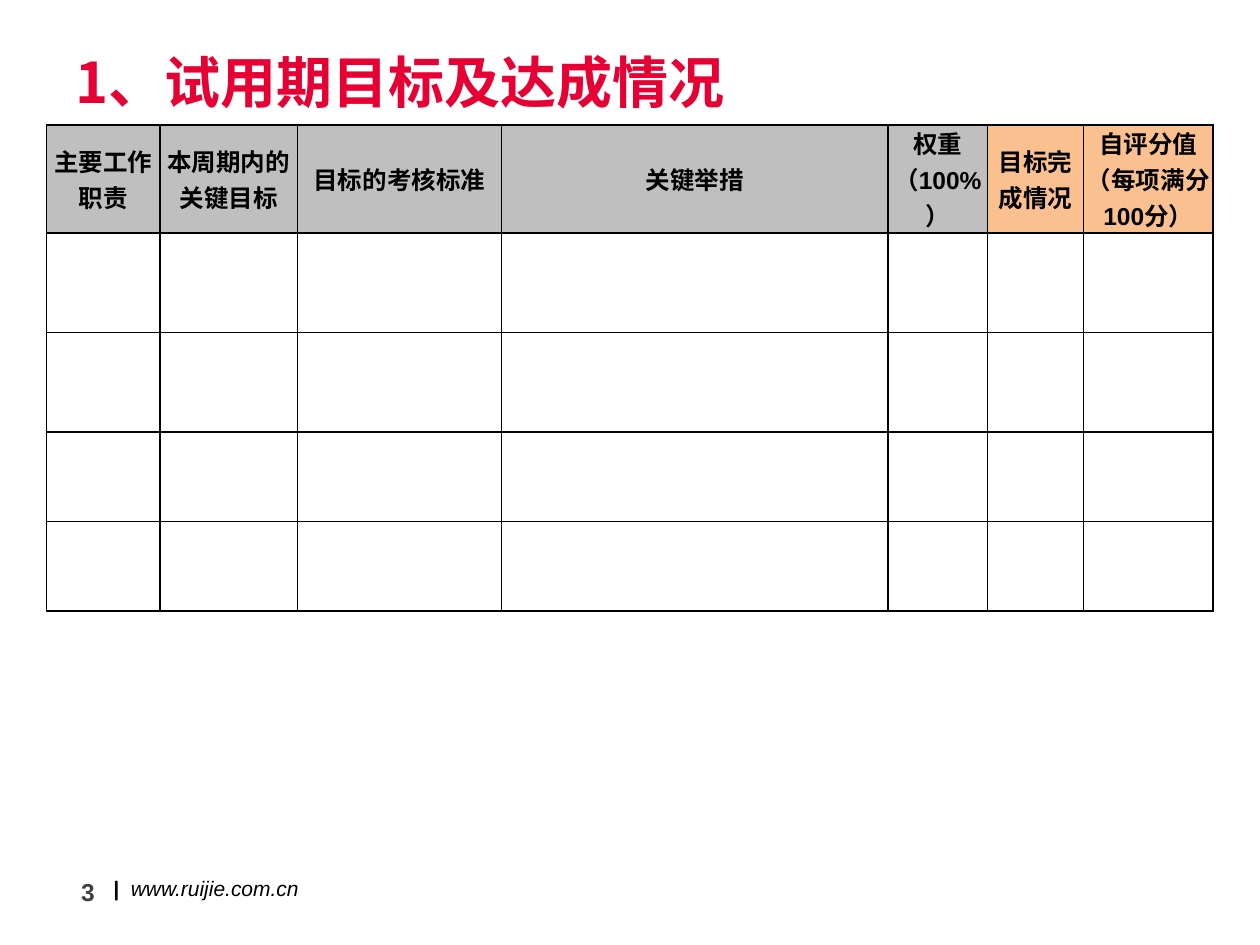
from lxml.etree import SubElement
from pptx import Presentation
from pptx.dml.color import RGBColor
from pptx.enum.text import MSO_ANCHOR, MSO_AUTO_SIZE, PP_ALIGN
from pptx.oxml.ns import qn
from pptx.util import Inches, Pt

WIDTH, HEIGHT = 10, 7.5
LATIN, CHINESE = "Arial", "Noto Sans CJK SC"
GREY, ORANGE, WHITE, BLACK = "BFBFBF", "FAC090", "FFFFFF", "000000"
COLUMN_WIDTHS = [0.9, 1.09, 1.62, 3.07, 0.79, 0.76, 1.03]
ROW_HEIGHTS = [0.86, 0.79, 0.79, 0.71, 0.71]
HEADERS = [
    ("主要工作职责", GREY),
    ("本周期内的关键目标", GREY),
    ("目标的考核标准", GREY),
    ("关键举措", GREY),
    ("权重（100%）", GREY),
    ("目标完成情况", ORANGE),
    ("自评分值\n（每项满分100分）", ORANGE),
]
HEADER_FORMAT = {"size": Pt(14), "bold": True, "name": LATIN}
TITLE_FORMAT = {"size": Pt(32), "bold": True, "name": CHINESE}
FOOTER_FORMAT = {"size": Pt(12), "italic": True, "name": LATIN}


def color(value):
    """Turn a hex string into a colour."""
    return RGBColor.from_string(value)


def set_attributes(target, values):
    """Set every attribute listed in a dict."""
    for name, value in values.items():
        setattr(target, name, value)


def format_run(run, values, hex_color):
    """Format a run, with the Chinese font for East Asian text."""
    set_attributes(run.font, values)
    run.font.color.rgb = color(hex_color)
    SubElement(run.font._element, qn("a:ea"), typeface=CHINESE)


def place(shape, left, top, width, height):
    """Place a shape, with lengths in inches."""
    box = {"left": left, "top": top, "width": width, "height": height}
    set_attributes(shape, {name: Inches(value) for name, value in box.items()})


def add_title(slide, text):
    """Fill and format the title placeholder."""
    title = slide.shapes.title
    place(title, 0.05 * WIDTH, 0.04 * HEIGHT, 0.9 * WIDTH, 0.69)
    frame = title.text_frame
    set_attributes(frame, {"text": text, "auto_size": MSO_AUTO_SIZE.NONE,
                           "vertical_anchor": MSO_ANCHOR.MIDDLE})
    paragraph = frame.paragraphs[0]
    paragraph.alignment = PP_ALIGN.LEFT
    format_run(paragraph.runs[0], TITLE_FORMAT, "E60033")


def add_text(slide, box, runs, alignment, anchor):
    """Add a one-paragraph text box and return the paragraph."""
    frame = slide.shapes.add_textbox(*map(Inches, box)).text_frame
    set_attributes(frame, {"word_wrap": True, "vertical_anchor": anchor})
    paragraph = frame.paragraphs[0]
    paragraph.alignment = alignment
    for text, values, hex_color in runs:
        run = paragraph.add_run()
        run.text = text
        format_run(run, values, hex_color)
    return paragraph


def add_tab_stop(paragraph, position):
    """Add a left tab stop, in inches, to a paragraph."""
    tabs = SubElement(paragraph._p.get_or_add_pPr(), qn("a:tabLst"))
    SubElement(tabs, qn("a:tab"), pos=str(Inches(position)), algn="l")


def style_cell(cell, fill):
    """Give a cell thin black borders and a plain fill."""
    properties = cell._tc.get_or_add_tcPr()
    for side in ("lnL", "lnR", "lnT", "lnB"):
        line = SubElement(properties, qn(f"a:{side}"), w=str(Pt(1)))
        SubElement(SubElement(line, qn("a:solidFill")), qn("a:srgbClr"), val=BLACK)
    cell.fill.solid()
    cell.fill.fore_color.rgb = color(fill)


def write_header(cell, text):
    """Write centred bold text in a header cell."""
    margins = ("margin_left", "margin_right", "margin_top", "margin_bottom")
    set_attributes(cell, dict.fromkeys(margins, 0))
    cell.vertical_anchor = MSO_ANCHOR.MIDDLE
    paragraph = cell.text_frame.paragraphs[0]
    set_attributes(paragraph, {"text": text, "alignment": PP_ALIGN.CENTER})
    for run in paragraph.runs:
        format_run(run, HEADER_FORMAT, BLACK)
    for line_break in paragraph._p.findall(qn("a:br")):
        SubElement(line_break, qn("a:rPr"), sz="1400")


def add_goal_table(slide):
    """Add the goal table with a header and empty rows."""
    box = map(Inches, (0.37, 0.99, sum(COLUMN_WIDTHS), sum(ROW_HEIGHTS)))
    table = slide.shapes.add_table(len(ROW_HEIGHTS), len(COLUMN_WIDTHS), *box).table
    set_attributes(table, {"first_row": False, "horz_banding": False})
    for column, width in zip(table.columns, COLUMN_WIDTHS):
        column.width = Inches(width)
    for index, (row, height) in enumerate(zip(table.rows, ROW_HEIGHTS)):
        row.height = Inches(height)
        for cell, (text, fill) in zip(row.cells, HEADERS):
            style_cell(cell, WHITE if index else fill)
            if index == 0:
                write_header(cell, text)


def main():
    """Build and save the slide."""
    presentation = Presentation()
    set_attributes(presentation, {"slide_width": Inches(WIDTH),
                                  "slide_height": Inches(HEIGHT)})
    slide = presentation.slides.add_slide(presentation.slide_layouts[5])
    footer = [("|\t", FOOTER_FORMAT | {"bold": True}, BLACK),
              ("www.ruijie.com.cn", FOOTER_FORMAT, BLACK)]
    paragraph = add_text(slide, (0.8, 6.9, 1.81, 0.31), footer,
                         PP_ALIGN.LEFT, MSO_ANCHOR.TOP)
    add_tab_stop(paragraph, 0.14)
    add_title(slide, "1、试用期目标及达成情况")
    add_text(slide, (0.26, 6.95, 0.59, 0.26), [("3", HEADER_FORMAT, "404040")],
             PP_ALIGN.RIGHT, MSO_ANCHOR.MIDDLE)
    add_goal_table(slide)
    presentation.save("out.pptx")


if __name__ == "__main__":
    main()
